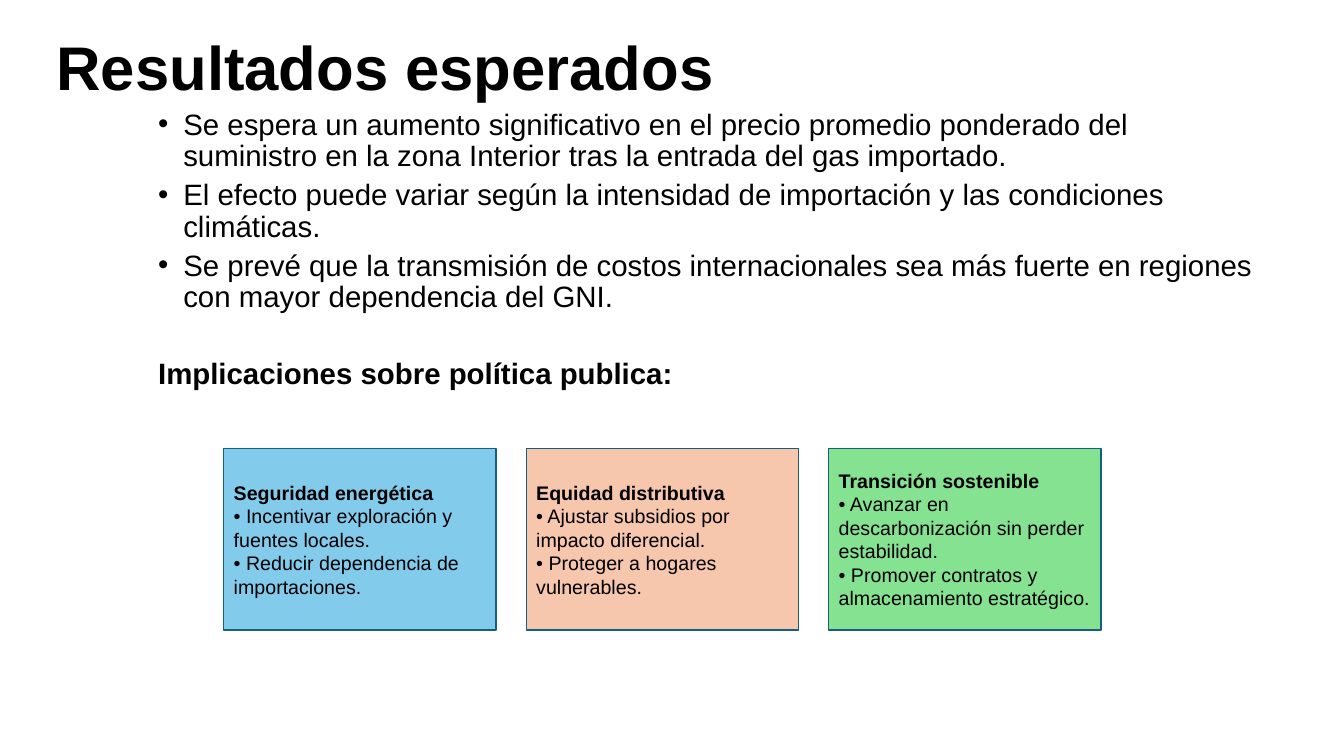
from dataclasses import dataclass

from lxml import etree
from pptx import Presentation
from pptx.dml.color import RGBColor
from pptx.enum import shapes, text
from pptx.oxml import ns
from pptx.slide import Slide
from pptx.text.text import TextFrame
from pptx.util import Inches, Pt


@dataclass(frozen=True)
class Theme:
    font: str = "Arial"
    ink: str = "000000"
    outline: str = "156082"
    blue: str = "83CBEB"
    peach: str = "F6C6AD"
    green: str = "84E291"
    title_size: float = 44
    body_size: float = 21
    card_size: float = 14


@dataclass(frozen=True)
class PolicyCard:
    heading: str
    actions: tuple[str, ...]
    fill: str


THEME = Theme()
CARD_LEFT, CARD_TOP, CARD_WIDTH, CARD_HEIGHT, CARD_PITCH = 2.22, 4.45, 2.7, 1.8, 3

FINDINGS = (
    "Se espera un aumento significativo en el precio promedio ponderado del suministro "
    "en la zona Interior tras la entrada del gas importado.",
    "El efecto puede variar según la intensidad de importación y las condiciones climáticas.",
    "Se prevé que la transmisión de costos internacionales sea más fuerte en regiones "
    "con mayor dependencia del GNI.",
)
CARDS = (
    PolicyCard(
        "Seguridad energética",
        ("Incentivar exploración y fuentes locales.", "Reducir dependencia de importaciones."),
        THEME.blue,
    ),
    PolicyCard(
        "Equidad distributiva",
        ("Ajustar subsidios por impacto diferencial.", "Proteger a hogares vulnerables."),
        THEME.peach,
    ),
    PolicyCard(
        "Transición sostenible",
        (
            "Avanzar en descarbonización sin perder estabilidad.",
            "Promover contratos y almacenamiento estratégico.",
        ),
        THEME.green,
    ),
)


def write(
    frame: TextFrame,
    content: str,
    *,
    size: float,
    bold: bool = False,
    line_spacing: float = 1.0,
    space_before: float = 0,
    margin: float = 0,
    indent: float = 0,
    bullet: str = "",
) -> None:
    paragraph = frame.paragraphs[0]
    if paragraph.runs:
        paragraph = frame.add_paragraph()
    paragraph.alignment = text.PP_ALIGN.LEFT
    paragraph.line_spacing = line_spacing
    paragraph.space_before = Pt(space_before)
    properties = paragraph._p.get_or_add_pPr()
    properties.set("marL", str(Inches(margin)))
    properties.set("indent", str(Inches(indent)))
    if bullet:
        etree.SubElement(properties, ns.qn("a:buFont"), typeface=THEME.font)
        etree.SubElement(properties, ns.qn("a:buChar"), char=bullet)
    run = paragraph.add_run()
    run.text = content
    run.font.name = THEME.font
    run.font.size = Pt(size)
    run.font.bold = bold
    run.font.color.rgb = RGBColor.from_string(THEME.ink)


def add_title(slide: Slide) -> None:
    title = slide.shapes.title
    title.left, title.top = Inches(0.46), Inches(0.23)
    title.width, title.height = Inches(9.12), Inches(0.84)
    title.text_frame.auto_size = text.MSO_AUTO_SIZE.NONE
    title.text_frame.vertical_anchor = text.MSO_ANCHOR.MIDDLE
    write(title.text_frame, "Resultados esperados", size=THEME.title_size, bold=True)


def add_findings(slide: Slide) -> None:
    box = slide.shapes.add_textbox(Inches(0.47), Inches(1.04), Inches(12.07), Inches(3.4))
    frame = box.text_frame
    frame.word_wrap = True
    for finding in FINDINGS:
        write(frame, finding, size=THEME.body_size, line_spacing=0.9, space_before=5,
              margin=1.25, indent=-0.25, bullet="•")
    write(frame, "Implicaciones sobre política publica:", size=THEME.body_size, bold=True,
          line_spacing=0.9, space_before=32, margin=1)


def add_card(slide: Slide, card: PolicyCard, left: float) -> None:
    shape = slide.shapes.add_shape(
        shapes.MSO_SHAPE.RECTANGLE,
        Inches(left), Inches(CARD_TOP), Inches(CARD_WIDTH), Inches(CARD_HEIGHT),
    )
    shape.shadow.inherit = False
    shape.fill.solid()
    shape.fill.fore_color.rgb = RGBColor.from_string(card.fill)
    shape.line.color.rgb = RGBColor.from_string(THEME.outline)
    shape.line.width = Pt(1)
    frame = shape.text_frame
    frame.word_wrap = True
    frame.vertical_anchor = text.MSO_ANCHOR.MIDDLE
    write(frame, card.heading, size=THEME.card_size, bold=True)
    for action in card.actions:
        write(frame, f"• {action}", size=THEME.card_size)


def main() -> None:
    presentation = Presentation()
    presentation.slide_width, presentation.slide_height = Inches(13.33), Inches(7.5)
    slide = presentation.slides.add_slide(presentation.slide_layouts.get_by_name("Title Only"))
    add_title(slide)
    add_findings(slide)
    for position, card in enumerate(CARDS):
        add_card(slide, card, CARD_LEFT + position * CARD_PITCH)
    presentation.save("out.pptx")


if __name__ == "__main__":
    main()
